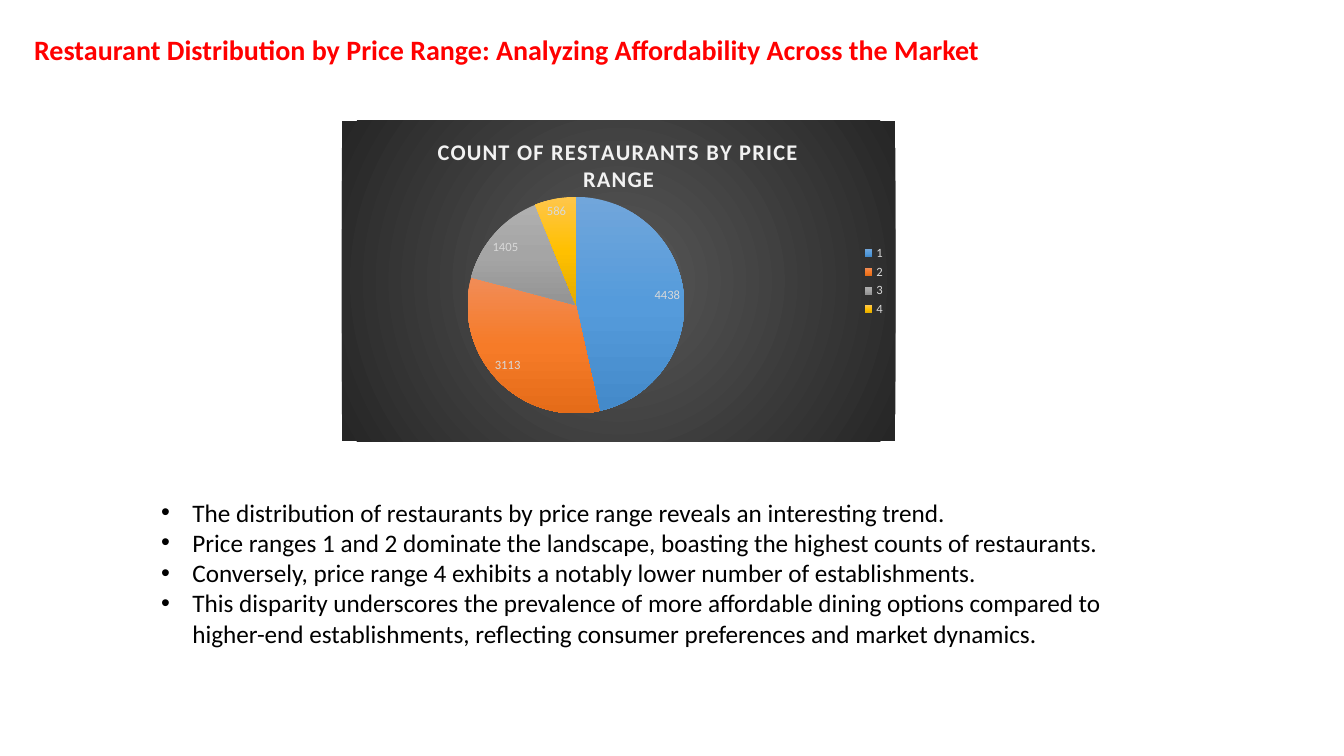
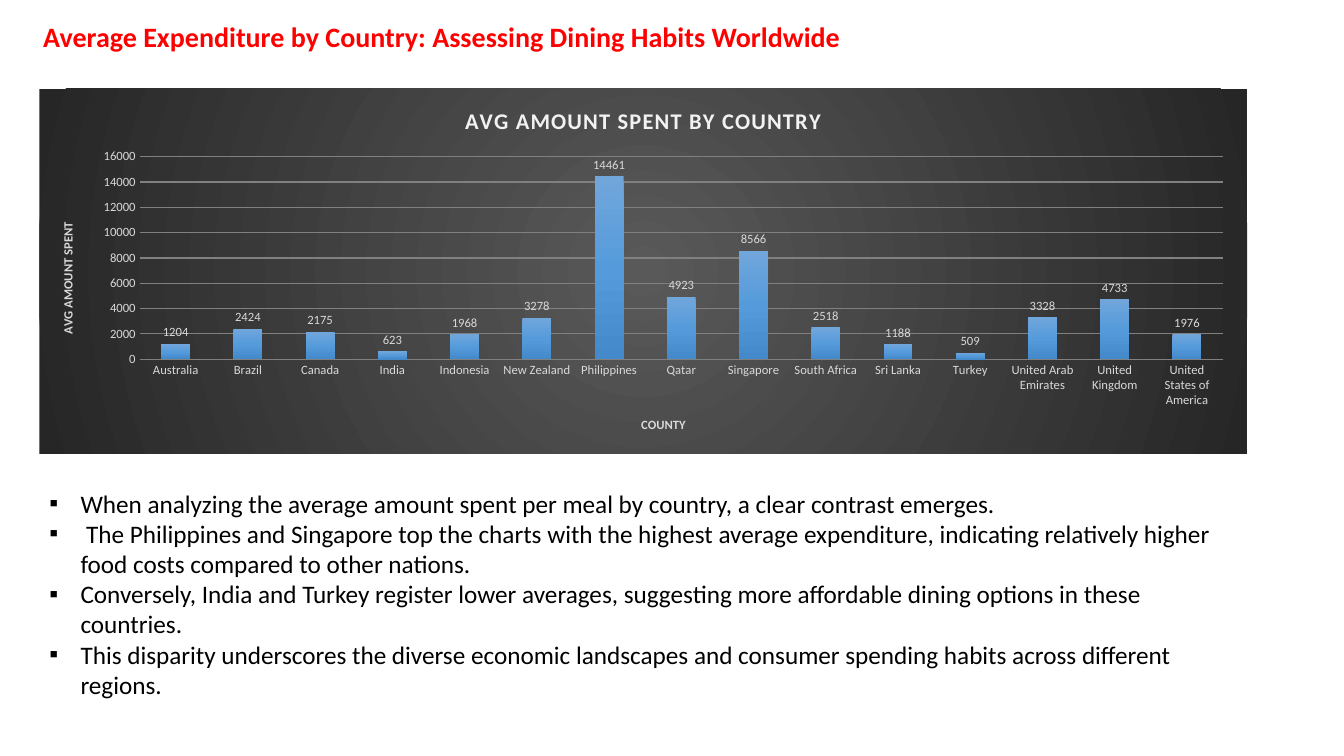
"""Build two slides on restaurant price ranges and spending by country."""
from lxml import etree
from pptx import Presentation
from pptx.chart.data import CategoryChartData
from pptx.dml.color import RGBColor
from pptx.enum.chart import XL_CHART_TYPE, XL_LABEL_POSITION, XL_LEGEND_POSITION, XL_TICK_MARK
from pptx.enum.text import MSO_AUTO_SIZE
from pptx.oxml import parse_xml
from pptx.oxml.ns import nsdecls, qn
from pptx.util import Inches, Pt

PIE = XL_CHART_TYPE.PIE
COLUMN = XL_CHART_TYPE.COLUMN_CLUSTERED
BEST_FIT = XL_LABEL_POSITION.BEST_FIT
OUTSIDE_END = XL_LABEL_POSITION.OUTSIDE_END
LEGEND_RIGHT = XL_LEGEND_POSITION.RIGHT
NO_TICK = XL_TICK_MARK.NONE
GROW = MSO_AUTO_SIZE.SHAPE_TO_FIT_TEXT

FONT = "Calibri"
RED = RGBColor(0xFF, 0x00, 0x00)
BLACK = RGBColor(0x00, 0x00, 0x00)
LIGHT = RGBColor(0xD9, 0xD9, 0xD9)
PALE = RGBColor(0xF2, 0xF2, 0xF2)
GRID = RGBColor(0x80, 0x80, 0x80)
DOWN = '<a:lin ang="5400000" scaled="0"/>'
RADIAL = '<a:path path="circle"><a:fillToRect l="50000" t="50000" r="50000" b="50000"/></a:path>'
BACKDROP = ((0, "595959"), (100, "262626"))
SHADES = [
    ((0, "71A6DB"), (50, "559BDB"), (100, "448ACA")),
    ((0, "F18C57"), (50, "F67B28"), (100, "E56C19")),
    ((0, "AFAFAF"), (50, "A5A5A5"), (100, "939393")),
    ((0, "FFC64B"), (50, "FFC000"), (100, "E3AB00")),
]

SLIDES = [
    {
        "title": "Restaurant Distribution by Price Range: Analyzing Affordability Across the Market",
        "title_at": (0.24, 0.27, 10.4, 0.44),
        "kind": PIE,
        "chart_title": "COUNT OF RESTAURANTS BY PRICE RANGE",
        "chart_at": (3.39, 1.2, 5.49, 3.18),
        "data": {"1": 4438, "2": 3113, "3": 1405, "4": 586},
        "bullet": "•",
        "body_at": (1.5, 4.88, 9.55, 1.62),
        "body": [
            "The distribution of restaurants by price range reveals an interesting trend.",
            "Price ranges 1 and 2 dominate the landscape, boasting the highest counts of restaurants.",
            "Conversely, price range 4 exhibits a notably lower number of establishments.",
            "This disparity underscores the prevalence of more affordable dining options compared to "
            "higher-end establishments, reflecting consumer preferences and market dynamics.",
        ],
    },
    {
        "title": "Average Expenditure by Country: Assessing Dining Habits Worldwide",
        "title_at": (0.33, 0.14, 8.62, 0.44),
        "kind": COLUMN,
        "chart_title": "AVG AMOUNT SPENT BY COUNTRY",
        "chart_at": (0.39, 0.88, 11.98, 3.62),
        "data": {
            "Australia": 1204, "Brazil": 2424, "Canada": 2175, "India": 623, "Indonesia": 1968,
            "New Zealand": 3278, "Philippines": 14461, "Qatar": 4923, "Singapore": 8566,
            "South Africa": 2518, "Sri Lanka": 1188, "Turkey": 509, "United Arab Emirates": 3328,
            "United Kingdom": 4733, "United States of America": 1976,
        },
        "bullet": "▪",
        "body_at": (0.39, 4.79, 11.75, 2.22),
        "body": [
            "When analyzing the average amount spent per meal by country, a clear contrast emerges.",
            " The Philippines and Singapore top the charts with the highest average expenditure, "
            "indicating relatively higher food costs compared to other nations.",
            "Conversely, India and Turkey register lower averages, suggesting more affordable dining "
            "options in these countries.",
            "This disparity underscores the diverse economic landscapes and consumer spending habits "
            "across different regions.",
        ],
    },
]


def gradient(stops, direction):
    marks = "".join(f'<a:gs pos="{pos * 1000}"><a:srgbClr val="{color}"/></a:gs>' for pos, color in stops)
    return parse_xml(f'<a:gradFill {nsdecls("a")}><a:gsLst>{marks}</a:gsLst>{direction}</a:gradFill>')


def add_run(p, text, size, color, bold=False):
    r = p.add_run()
    r.text = text
    r.font.name = FONT
    r.font.size = Pt(size)
    r.font.bold = bold
    r.font.color.rgb = color


prs = Presentation()
prs.slide_width = Inches(13.33)
prs.slide_height = Inches(7.5)

for content in SLIDES:
    s = prs.slides.add_slide(prs.slide_layouts[6])

    tf = s.shapes.add_textbox(*map(Inches, content["title_at"])).text_frame
    tf.word_wrap = True
    tf.auto_size = GROW
    add_run(tf.paragraphs[0], content["title"], 20, RED, True)

    data = CategoryChartData(number_format="0")
    data.categories = list(content["data"])
    data.add_series("Series 1", list(content["data"].values()))
    chart = s.shapes.add_chart(content["kind"], *map(Inches, content["chart_at"]), data).chart
    chart.font.name = FONT
    chart.font.size = Pt(10)
    chart.font.color.rgb = BLACK
    add_run(chart.chart_title.text_frame.paragraphs[0], content["chart_title"], 16, PALE, True)
    chart.element.xpath("c:chart/c:title//a:rPr")[0].set("spc", "100")
    backdrop = parse_xml(f'<c:spPr {nsdecls("c", "a")}/>')
    backdrop.append(gradient(BACKDROP, RADIAL))
    chart.element.find(qn("c:chart")).addnext(backdrop)

    plot = chart.plots[0]
    series = plot.series[0]
    plot.has_data_labels = True
    labels = plot.data_labels
    labels.show_value = True
    fonts = [labels.font]

    if content["kind"] == PIE:
        plot.vary_by_categories = True
        labels.position = BEST_FIT
        chart.has_legend = True
        chart.legend.position = LEGEND_RIGHT
        chart.legend.include_in_layout = False
        fonts.append(chart.legend.font)
        filled = [series.points[i] for i in range(len(SHADES))]
        area = chart.element.xpath("c:chart/c:plotArea")[0]
        for old in area.findall(qn("c:layout")):
            area.remove(old)
        layout = parse_xml(f'<c:layout {nsdecls("c")}><c:manualLayout/></c:layout>')
        for tag, val in (("layoutTarget", "inner"), ("xMode", "edge"), ("yMode", "edge"),
                         ("x", "0.08"), ("y", "0.237"), ("w", "0.686"), ("h", "0.676")):
            etree.SubElement(layout[0], qn(f"c:{tag}")).set("val", val)
        area.insert(0, layout)
    else:
        plot.vary_by_categories = False
        plot.gap_width = 150
        labels.position = OUTSIDE_END
        chart.has_legend = False
        filled = [series]
        for axis, name in ((chart.category_axis, "COUNTY"), (chart.value_axis, "AVG AMOUNT SPENT")):
            add_run(axis.axis_title.text_frame.paragraphs[0], name, 9, LIGHT, True)
            axis.major_tick_mark = axis.minor_tick_mark = NO_TICK
            axis.format.line.fill.background()
            fonts.append(axis.tick_labels.font)
        chart.value_axis.has_major_gridlines = True
        grid = chart.value_axis.major_gridlines.format.line
        grid.color.rgb = GRID
        grid.width = Pt(0.75)

    for font in fonts:
        font.name = FONT
        font.size = Pt(9)
        font.color.rgb = LIGHT

    for item in filled:
        item.format.fill.solid()
    for solid, stops in zip(chart.element.xpath("//c:ser//c:spPr/a:solidFill"), SHADES):
        solid.getparent().replace(solid, gradient(stops, DOWN))

    tf = s.shapes.add_textbox(*map(Inches, content["body_at"])).text_frame
    tf.word_wrap = True
    tf.auto_size = GROW
    for i, text in enumerate(content["body"]):
        p = tf.add_paragraph() if i else tf.paragraphs[0]
        pPr = p._p.get_or_add_pPr()
        pPr.set("marL", str(Inches(0.31)))
        pPr.set("indent", str(Inches(-0.31)))
        etree.SubElement(pPr, qn("a:buFont")).set("typeface", "Arial")
        etree.SubElement(pPr, qn("a:buChar")).set("char", content["bullet"])
        add_run(p, text, 18, BLACK)

prs.save("out.pptx")
